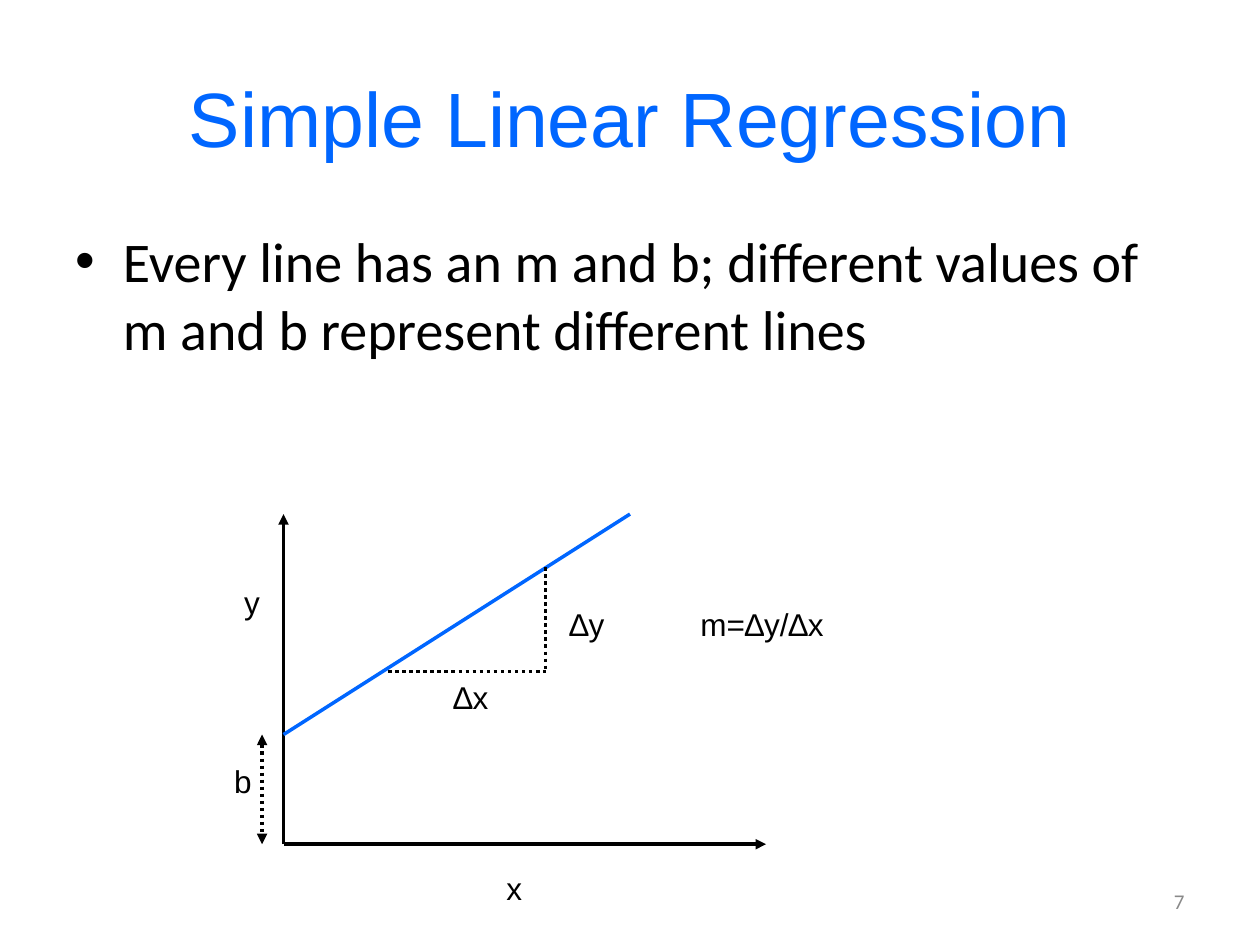
"""Build a slide explaining slope and intercept in simple linear regression."""
import pptx
import pptx.dml.color
import pptx.enum.dml
import pptx.enum.shapes
import pptx.enum.text
import pptx.oxml.ns
import pptx.util
from lxml import etree

Inches = pptx.util.Inches
ALIGN = pptx.enum.text.PP_ALIGN
ANCHOR = pptx.enum.text.MSO_ANCHOR
COLORS = {"blue": "0066FF", "black": "000000", "gray": "898989"}
FORMATS = {
    "title": {"name": "Arial", "size": pptx.util.Pt(44)},
    "body": {"name": "Calibri", "size": pptx.util.Pt(32)},
    "label": {"name": "Arial", "size": pptx.util.Pt(18)},
    "number": {"name": "Calibri", "size": pptx.util.Pt(12)},
}
ORIGIN_X, ORIGIN_Y = 2.25, 6.7
TOP_Y, INTERCEPT_Y = 4.08, 5.83
RUN_X, RISE_X, RISE_Y, RUN_Y = 3.08, 4.33, 4.5, 5.33


def rgb(color):
    return pptx.dml.color.RGBColor.from_string(COLORS[color])


def set_text(sp, text, style, color="black", align=ALIGN.LEFT, anchor=ANCHOR.TOP, wrap=True):
    tf = sp.text_frame
    tf.word_wrap = wrap
    tf.vertical_anchor = anchor
    p = tf.paragraphs[0]
    p.alignment = align
    p.space_before = pptx.util.Pt(0)
    r = p.add_run()
    r.text = text
    for key, value in FORMATS[style].items():
        setattr(r.font, key, value)
    r.font.color.rgb = rgb(color)


def fill_placeholder(sp, box, text, style, **options):
    for key, value in zip(("left", "top", "width", "height"), box):
        setattr(sp, key, Inches(value))
    set_text(sp, text, style, **options)


def add_text(s, box, text, style, **options):
    sp = s.shapes.add_textbox(*map(Inches, box))
    set_text(sp, text, style, **options)
    return sp


def add_label(s, left, top, width, text):
    sp = add_text(s, (left, top, width, 0.4), text, "label", wrap=False)
    sp.text_frame.auto_size = pptx.enum.text.MSO_AUTO_SIZE.SHAPE_TO_FIT_TEXT


def add_line(s, start, end, color="black", dotted=False, arrows=()):
    straight = pptx.enum.shapes.MSO_CONNECTOR.STRAIGHT
    sp = s.shapes.add_connector(straight, *map(Inches, start + end))
    sp.line.width = pptx.util.Pt(2)
    sp.line.color.rgb = rgb(color)
    if dotted:
        sp.line.dash_style = pptx.enum.dml.MSO_LINE.ROUND_DOT
    qn = pptx.oxml.ns.qn
    ln = sp.line._get_or_add_ln()
    for arrow in arrows:
        etree.SubElement(ln, qn(f"a:{arrow}"), type="triangle")
    etree.SubElement(sp._element.spPr, qn("a:effectLst"))


def add_diagram(s):
    origin, intercept = (ORIGIN_X, ORIGIN_Y), (ORIGIN_X, INTERCEPT_Y)
    corner = (RISE_X, RUN_Y)
    for end in ((ORIGIN_X, TOP_Y), (6.08, ORIGIN_Y)):
        add_line(s, origin, end, arrows=("tailEnd",))
    add_line(s, intercept, (5, TOP_Y), color="blue")
    add_line(s, (2.08, INTERCEPT_Y), (2.08, ORIGIN_Y), dotted=True,
             arrows=("headEnd", "tailEnd"))
    for start in ((RUN_X, RUN_Y), (RISE_X, RISE_Y)):
        add_line(s, start, corner, dotted=True)
    for label in (
        (1.84, 4.58, 0.33, "y"),
        (3.92, 6.85, 0.33, "x"),
        (1.76, 6, 0.34, "b"),
        (4.42, 4.75, 0.48, "∆y"),
        (3.5, 5.33, 0.48, "∆x"),
        (5.46, 4.75, 1.19, "m=∆y/∆x"),
    ):
        add_label(s, *label)


def main():
    prs = pptx.Presentation()
    prs.slide_width, prs.slide_height = Inches(10), Inches(7.5)
    s = prs.slides.add_slide(prs.slide_layouts[1])
    fill_placeholder(s.shapes.title, (0.5, 0.3, 9, 1.25), "Simple Linear Regression",
                     "title", color="blue", align=ALIGN.CENTER, anchor=ANCHOR.MIDDLE)
    fill_placeholder(s.placeholders[1], (0.5, 1.75, 9, 4.95),
                     "Every line has an m and b; different values of m and b "
                     "represent different lines", "body")
    add_text(s, (7.17, 6.95, 2.33, 0.4), "7", "number", color="gray",
             align=ALIGN.RIGHT, anchor=ANCHOR.MIDDLE)
    add_diagram(s)
    prs.save("out.pptx")


if __name__ == "__main__":
    main()
